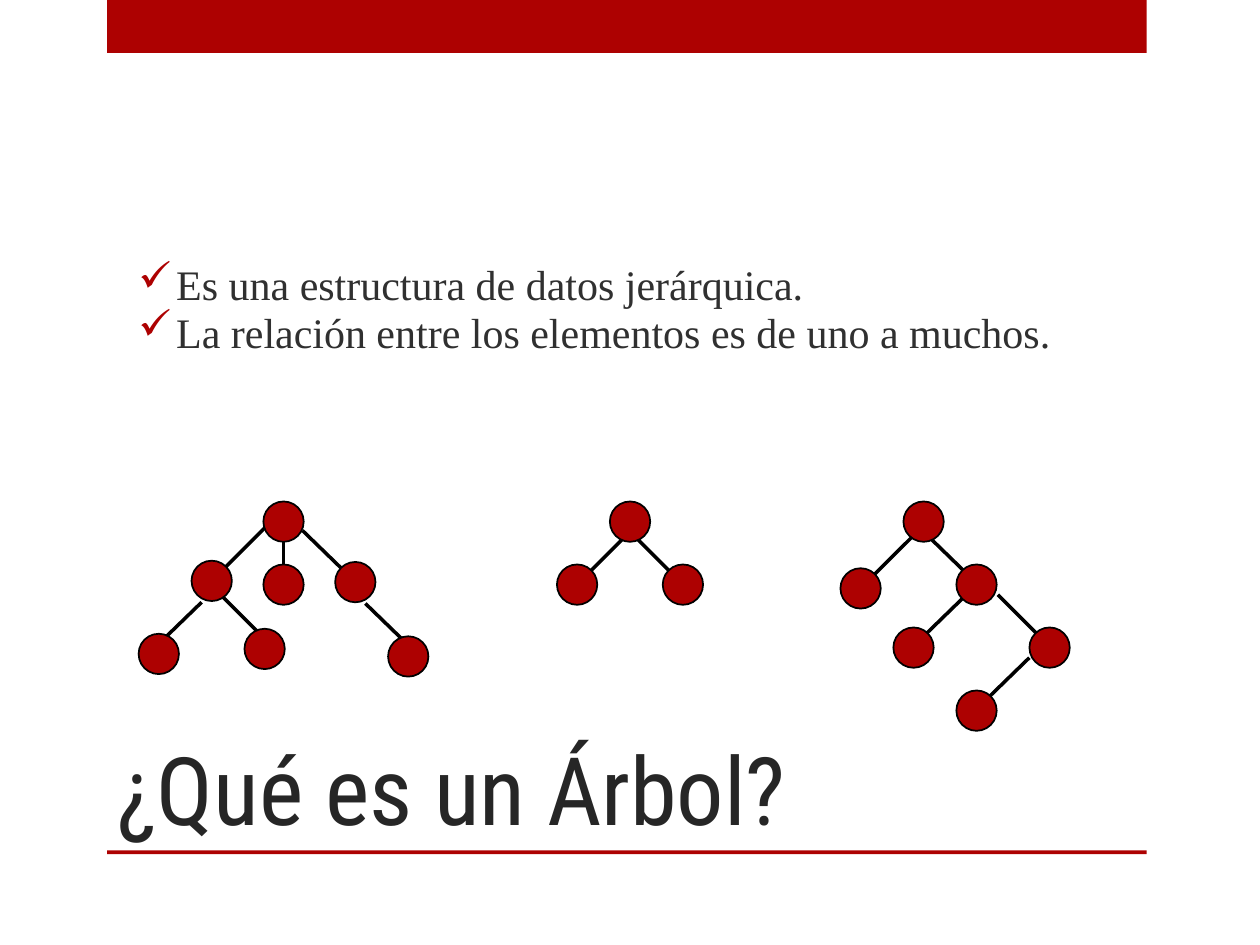
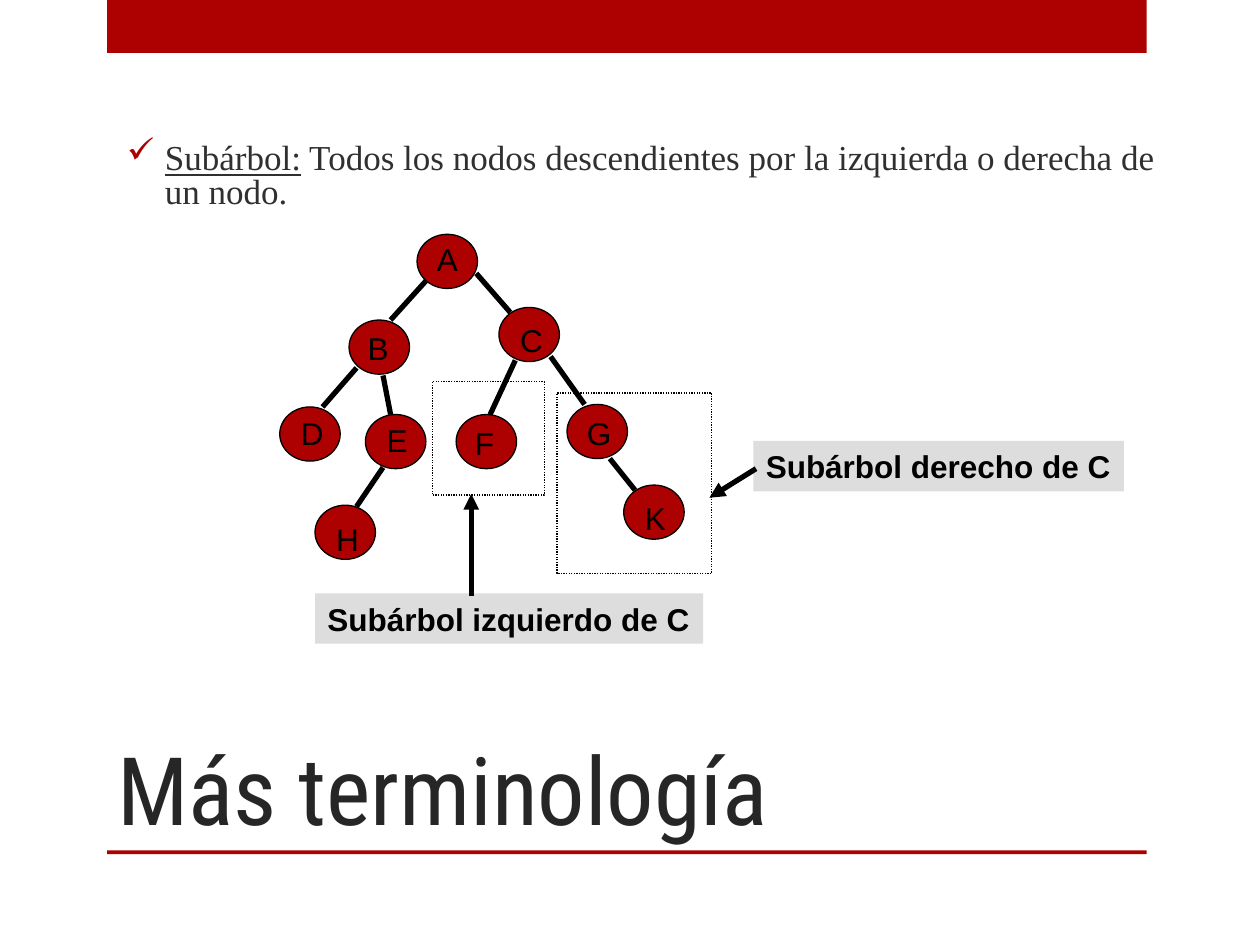
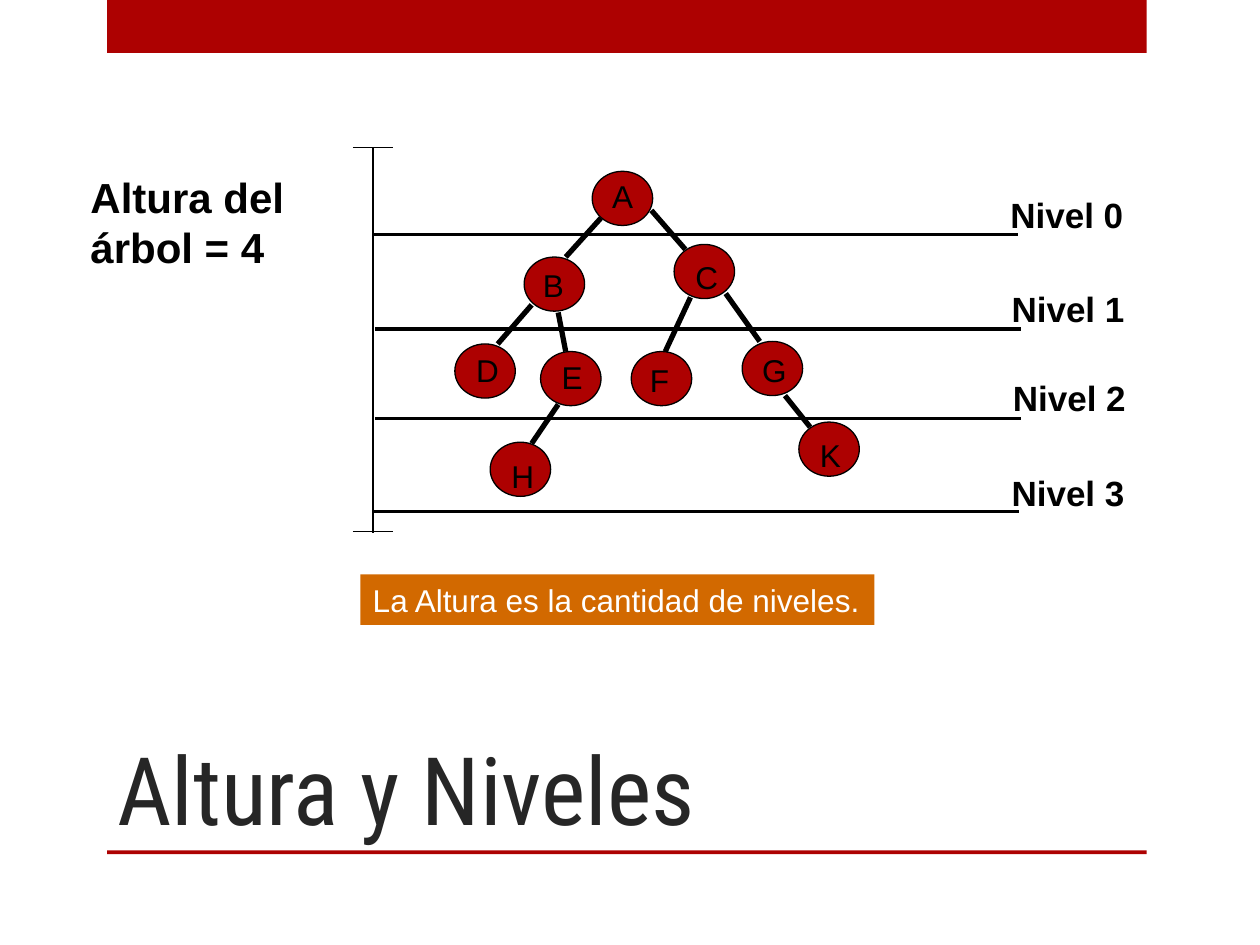
"""Builds three slides that introduce trees as a data structure."""
from lxml.etree import SubElement
from pptx import Presentation
from pptx.dml.color import RGBColor
from pptx.enum.dml import MSO_LINE
from pptx.enum.shapes import MSO_CONNECTOR, MSO_SHAPE
from pptx.enum.text import MSO_ANCHOR, MSO_AUTO_SIZE, PP_ALIGN
from pptx.oxml.ns import qn
from pptx.util import Inches, Pt

color = RGBColor.from_string
RED, BLACK, WHITE, GRAY, ORANGE = "AD0101", "000000", "FFFFFF", "DDDDDD", "D26900"
TITLE_COLOR, BODY_COLOR = "262626", "303030"
TITLE_FONT, BODY_FONT, LABEL_FONT = "Roboto Condensed", "Times New Roman", "Arial"


def add_preset(slide, preset, box, fill=None, line_width=None):
    shape = slide.shapes.add_shape(preset, *[Inches(value) for value in box])
    shape.shadow.inherit = False
    if fill:
        shape.fill.solid()
        shape.fill.fore_color.rgb = color(fill)
    else:
        shape.fill.background()
    if line_width:
        shape.line.color.rgb = color(BLACK)
        shape.line.width = Pt(line_width)
    else:
        shape.line.fill.background()
    return shape


def add_line(slide, ends, width, arrow=False):
    connector = slide.shapes.add_connector(MSO_CONNECTOR.STRAIGHT, *[Inches(value) for value in ends])
    connector.line.color.rgb = color(BLACK)
    connector.line.width = Pt(width)
    properties = connector._element.spPr
    if arrow:
        SubElement(properties.find(qn("a:ln")), qn("a:tailEnd"), type="triangle")
    SubElement(properties, qn("a:effectLst"))


presentation = Presentation()
presentation.slide_width, presentation.slide_height = Inches(10), Inches(7.5)

slides = []
for heading in ["¿Qué es un Árbol?", "Más terminología", "Altura y Niveles"]:
    slide = presentation.slides.add_slide(presentation.slide_layouts[5])
    slides.append(slide)
    for top, height in [(0, 0.42), (6.75, 0.03)]:
        add_preset(slide, MSO_SHAPE.RECTANGLE, (0.85, top, 8.25, height), RED)
    title = slide.shapes.title
    title.left, title.top, title.width, title.height = Inches(0.83), Inches(5), Inches(7.42), Inches(1.75)
    title.text = heading
    title.text_frame.auto_size = MSO_AUTO_SIZE.NONE
    title.text_frame.vertical_anchor = MSO_ANCHOR.BOTTOM
    paragraph = title.text_frame.paragraphs[0]
    paragraph.alignment = PP_ALIGN.LEFT
    paragraph.font.name = TITLE_FONT
    paragraph.font.size = Pt(54)
    paragraph.font.color.rgb = color(TITLE_COLOR)
intro_slide, subtree_slide, level_slide = slides

bullet_lists = [
    (intro_slide, (1, 1.75, 8.5, 1.46), 24, [
        ("", "Es una estructura de datos jerárquica."),
        ("", "La relación entre los elementos es de uno a muchos."),
    ]),
    (subtree_slide, (0.91, 0.79, 8.5, 1.24), 20, [
        ("Subárbol:", " Todos los nodos descendientes por la izquierda o derecha de un nodo."),
    ]),
]
for slide, box, size, items in bullet_lists:
    frame = slide.shapes.add_textbox(*[Inches(value) for value in box]).text_frame
    frame.word_wrap = True
    frame.vertical_anchor = MSO_ANCHOR.MIDDLE
    for index, (term, sentence) in enumerate(items):
        paragraph = frame.add_paragraph() if index else frame.paragraphs[0]
        if term:
            run = paragraph.add_run()
            run.text = term
            run.font.underline = True
        paragraph.add_run().text = sentence
        paragraph.line_spacing = 0.8
        paragraph.space_before = Pt(size * 0.2)
        paragraph.font.name = BODY_FONT
        paragraph.font.size = Pt(size)
        paragraph.font.color.rgb = color(BODY_COLOR)
        properties = paragraph._p.get_or_add_pPr()
        properties.set("marL", str(Inches(0.3)))
        properties.set("indent", str(Inches(-0.3)))
        bullet_color = SubElement(properties, qn("a:buClr"))
        SubElement(bullet_color, qn("a:srgbClr"), val=RED)
        SubElement(properties, qn("a:buChar"), char="✓")
        properties.append(properties.find(qn("a:defRPr")))

small_edges = [
    (3.24, 5.12, 2.9, 4.79), (2.74, 4.54, 2.4, 4.21), (2.25, 4.64, 2.25, 4.3),
    (2.18, 5.15, 1.76, 4.73), (1.26, 5.11, 1.6, 4.78), (1.76, 4.53, 2.1, 4.19),
    (5.33, 4.55, 5, 4.22), (4.67, 4.55, 5, 4.22),
    (7.67, 4.55, 7.33, 4.22), (7.33, 5.05, 7.67, 4.72), (8.25, 5.05, 7.92, 4.72),
    (7.83, 5.55, 8.17, 5.22), (6.92, 4.58, 7.25, 4.25),
]
small_nodes = [
    (2.09, 3.98), (1.52, 4.45), (2.66, 4.46), (1.1, 5.03), (1.94, 4.99), (3.08, 5.05), (2.09, 4.48),
    (4.84, 3.98), (4.42, 4.48), (5.26, 4.48),
    (7.17, 3.98), (7.09, 4.98), (7.59, 4.48), (8.17, 4.98), (7.59, 5.48), (6.67, 4.51),
]
for ends in small_edges:
    add_line(intro_slide, ends, 2)
for left, top in small_nodes:
    add_preset(intro_slide, MSO_SHAPE.OVAL, (left, top, 0.32, 0.32), RED, 1)

for level, (left, top) in enumerate([(2.96, 1.86), (2.98, 2.61), (2.98, 3.32), (2.97, 4.06)]):
    add_line(level_slide, (left, top, left + 5.12, top), 2)
for ends in [(2.8, 1.17, 3.12, 1.17), (2.8, 4.22, 3.12, 4.22), (2.96, 1.17, 2.96, 4.23)]:
    add_line(level_slide, ends, 0.75)

tree_nodes = [
    ("A", 3.31, 1.86, 0.06, 0), ("B", 2.77, 2.54, 0.05, 0.02), ("C", 3.96, 2.44, 0.07, 0.06),
    ("D", 2.22, 3.23, 0.07, 0.01), ("E", 2.9, 3.29, 0.07, 0), ("F", 3.62, 3.29, 0.05, 0.03),
    ("G", 4.5, 3.21, 0.06, 0.03), ("H", 2.5, 4.01, 0.07, 0.07), ("K", 4.95, 3.85, 0.07, 0.06),
]
tree_edges = [
    (3.38, 2.23, 3.1, 2.54), (2.83, 2.92, 2.56, 3.23), (3.78, 2.17, 4.05, 2.48),
    (4.37, 2.83, 4.64, 3.21), (3.04, 2.98, 3.1, 3.29), (4.09, 2.86, 3.89, 3.29),
    (3.04, 3.71, 2.83, 4.02), (4.84, 3.64, 5.04, 3.89),
]
labels = []
for slide, shift_x, shift_y in [(subtree_slide, 0, 0), (level_slide, 1.39, -0.5)]:
    for letter, left, top, label_x, label_y in tree_nodes:
        left, top = left + shift_x, top + shift_y
        add_preset(slide, MSO_SHAPE.OVAL, (left, top, 0.48, 0.43), RED, 0.75)
        labels.append((slide, letter, (left + label_x, top + label_y, 0.27, 0.4), 18, False, BLACK, None))
    for x1, y1, x2, y2 in tree_edges:
        add_line(slide, (x1 + shift_x, y1 + shift_y, x2 + shift_x, y2 + shift_y), 3)

for box in [(4.42, 3.12, 1.23, 1.43), (3.43, 3.03, 0.89, 0.9)]:
    subtree_frame = add_preset(subtree_slide, MSO_SHAPE.RECTANGLE, box, line_width=0.75)
    subtree_frame.line.dash_style = MSO_LINE.ROUND_DOT

labels += [
    (subtree_slide, "Subárbol derecho de C", (5.98, 3.5, 2.94, 0.4), 18, True, BLACK, GRAY),
    (subtree_slide, "Subárbol izquierdo de C", (2.5, 4.71, 3.08, 0.4), 18, True, BLACK, GRAY),
    (level_slide, "Altura del árbol = 4", (0.62, 1.31, 2, 0.9), 24, True, BLACK, None),
    (level_slide, "La Altura es la cantidad de niveles.", (2.86, 4.56, 4.08, 0.4), 18, False, WHITE, ORANGE),
]
for level, (left, top) in enumerate([(7.92, 1.49), (7.93, 2.23), (7.94, 2.94), (7.93, 3.69)]):
    labels.append((level_slide, f"Nivel {level}", (left, top, 1.34, 0.43), 20, True, BLACK, None))

for slide, text, box, size, bold, text_color, fill in labels:
    label = slide.shapes.add_textbox(*[Inches(value) for value in box])
    if fill:
        label.fill.solid()
        label.fill.fore_color.rgb = color(fill)
    frame = label.text_frame
    frame.word_wrap = not fill
    frame.auto_size = MSO_AUTO_SIZE.SHAPE_TO_FIT_TEXT
    paragraph = frame.paragraphs[0]
    paragraph.text = text
    paragraph.font.name = LABEL_FONT
    paragraph.font.size = Pt(size)
    paragraph.font.bold = bold
    paragraph.font.color.rgb = color(text_color)

for ends in [(6, 3.72, 5.63, 3.95), (3.74, 4.73, 3.74, 3.92)]:
    add_line(subtree_slide, ends, 3, arrow=True)

presentation.save("out.pptx")
